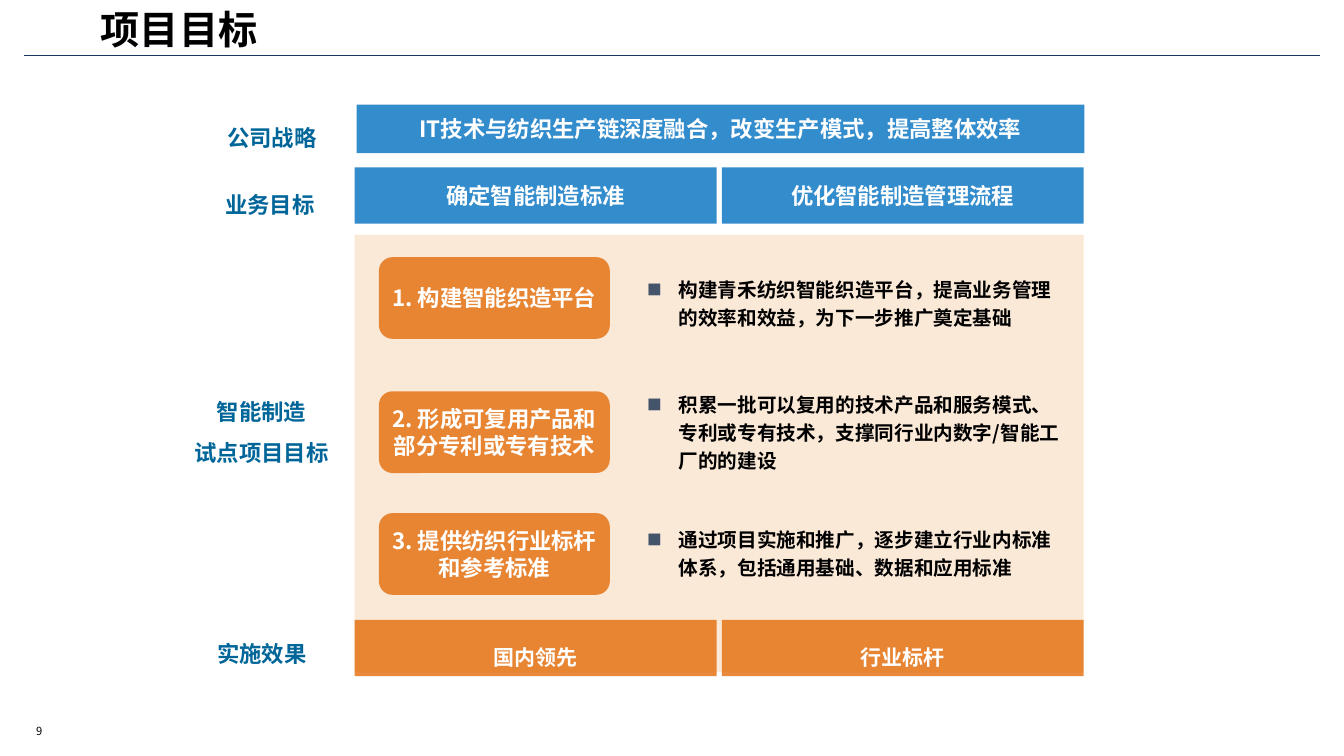
from lxml import etree
from pptx import Presentation
from pptx import util as u
from pptx.dml.color import RGBColor
from pptx.enum import shapes, text
from pptx.oxml.ns import qn

TITLE = "项目目标"
PAGE = "9"
STRATEGY = "IT技术与纺织生产链深度融合，改变生产模式，提高整体效率"
BUSINESS = ["确定智能制造标准", "优化智能制造管理流程"]
RESULTS = ["国内领先", "行业标杆"]
LABELS = [
    (["公司战略"], 5.46, 2.87, 2.79, 1.07),
    (["业务目标"], 5.41, 4.55, 2.79, 1.02),
    (["智能制造", "试点项目目标"], 4.62, 9.78, 3.94, 2.03),
    (["实施效果"], 5.21, 15.88, 2.79, 1.07),
]
GOALS = [
    ("1. 构建智能织造平台", 6.48,
     "构建青禾纺织智能织造平台，提高业务管理的效率和效益，为下一步推广奠定基础", 6.53),
    ("2. 形成可复用产品和部分专利或专有技术", 9.86,
     "积累一批可以复用的技术产品和服务模式、专利或专有技术，支撑同行业内数字/智能工厂的的建设", 9.78),
    ("3. 提供纺织行业标杆和参考标准", 12.93,
     "通过项目实施和推广，逐步建立行业内标准体系，包括通用基础、数据和应用标准", 12.83),
]

FONT = "Noto Sans CJK SC"
WHITE = RGBColor(0xFF, 0xFF, 0xFF)
BLACK = RGBColor(0, 0, 0)
NAVY = RGBColor(0x17, 0x37, 0x5E)
TEAL = RGBColor(0x00, 0x66, 0x99)
BLUE = RGBColor(0x00, 0x70, 0xC0)
ORANGE = RGBColor(0xE4, 0x6C, 0x0A)
CREAM = RGBColor(0xFB, 0xE9, 0xD8)
SLATE = "44546A"

COLS = [8.94, 18.19]
COL_W = 9.12
PANEL_W = [9.35, COL_W]
RECT = shapes.MSO_SHAPE.RECTANGLE
ROUND = shapes.MSO_SHAPE.ROUNDED_RECTANGLE
CENTER = text.PP_ALIGN.CENTER
MIDDLE = text.MSO_ANCHOR.MIDDLE

prs = Presentation()
prs.slide_width, prs.slide_height = u.Cm(33.87), u.Cm(19.05)
s = prs.slides.add_slide(prs.slide_layouts[6])


def box(*lengths):
    return [u.Cm(v) for v in lengths]


def write(p, words, size, color, bold=True):
    r = p.add_run()
    r.text = words
    f = r.font
    f.size, f.bold, f.name = u.Pt(size), bold, FONT
    f.color.rgb = color
    etree.SubElement(r._r.get_or_add_rPr(), qn("a:ea"), typeface=FONT)


def text_box(area, wrap):
    tf = s.shapes.add_textbox(*box(*area)).text_frame
    tf.word_wrap = wrap
    tf.auto_size = text.MSO_AUTO_SIZE.SHAPE_TO_FIT_TEXT
    return tf


def block(kind, area, fill=None, alpha=None):
    sp = s.shapes.add_shape(kind, *box(*area))
    sp.shadow.inherit = False
    sp.line.fill.background()
    if fill is None:
        sp.fill.background()
    else:
        sp.fill.solid()
        sp.fill.fore_color.rgb = fill
    if alpha:
        clr = sp._element.spPr.find(".//" + qn("a:srgbClr"))
        etree.SubElement(clr, qn("a:alpha"), val=str(alpha * 1000))
    sp.text_frame.word_wrap = True
    return sp


def insets(tf, side, top):
    tf.margin_left = tf.margin_right = u.Cm(side)
    tf.margin_top = tf.margin_bottom = u.Cm(top)
    tf.vertical_anchor = MIDDLE


def banner(kind, area, fill, words):
    tf = block(kind, area, fill, 80).text_frame
    insets(tf, 0.2, 0.2)
    p = tf.paragraphs[0]
    p.alignment, p.space_after = CENTER, u.Pt(3)
    write(p, words, 16, WHITE)


def detail(area, words):
    sp = block(ROUND, area)
    sp.adjustments[0] = 0
    tf = sp.text_frame
    insets(tf, 0.1, 0.05)
    p = tf.paragraphs[0]
    pPr = p._p.get_or_add_pPr()
    pPr.set("marL", str(u.Cm(0.79)))
    pPr.set("indent", str(-u.Cm(0.79)))
    clr = etree.SubElement(pPr, qn("a:buClr"))
    etree.SubElement(clr, qn("a:srgbClr"), val=SLATE)
    etree.SubElement(pPr, qn("a:buSzPct"), val="75000")
    etree.SubElement(pPr, qn("a:buFont"), typeface=FONT)
    etree.SubElement(pPr, qn("a:buChar"), char="■")
    p.alignment, p.line_spacing = text.PP_ALIGN.LEFT, 1.2
    write(p, words, 14, BLACK)


rule = s.shapes.add_connector(shapes.MSO_CONNECTOR.STRAIGHT, *box(0.61, 1.4, 33.27, 1.4))
rule.line.color.rgb, rule.line.width = NAVY, u.Pt(1)
etree.SubElement(rule._element.spPr, qn("a:effectLst"))

tf = text_box((0.66, 18.11, 2.39, 0.61), True)
tf.vertical_anchor = MIDDLE
write(tf.paragraphs[0], PAGE, 8, BLACK, False)
write(text_box((2.29, 0, 8.86, 1.45), True).paragraphs[0], TITLE, 28, BLACK)

for x, w in zip(COLS, PANEL_W):
    block(RECT, (x, 5.92, w, 11.02), CREAM)

for lines, *area in LABELS:
    tf = text_box(area, False)
    for i, words in enumerate(lines):
        p = tf.add_paragraph() if i else tf.paragraphs[0]
        p.alignment, p.line_spacing = CENTER, 1.2
        if i:
            p.space_before = u.Pt(6)
        write(p, words, 16, TEAL)

banner(RECT, (8.99, 2.64, 18.34, 1.22), BLUE, STRATEGY)
for x, aim, result in zip(COLS, BUSINESS, RESULTS):
    banner(RECT, (x, 4.22, COL_W, 1.42), BLUE, aim)
    tf = block(RECT, (x, 15.62, COL_W, 1.42), ORANGE, 80).text_frame
    tf.vertical_anchor = text.MSO_ANCHOR.TOP
    p = tf.paragraphs[0]
    p.alignment, p.line_spacing = CENTER, 1.8
    write(p, result, 15, WHITE)

for goal, goal_y, words, detail_y in GOALS:
    detail((16.21, detail_y, 10.62, 2.13), words)
    banner(ROUND, (9.55, goal_y, 5.82, 2.06), ORANGE, goal)

prs.save("out.pptx")
